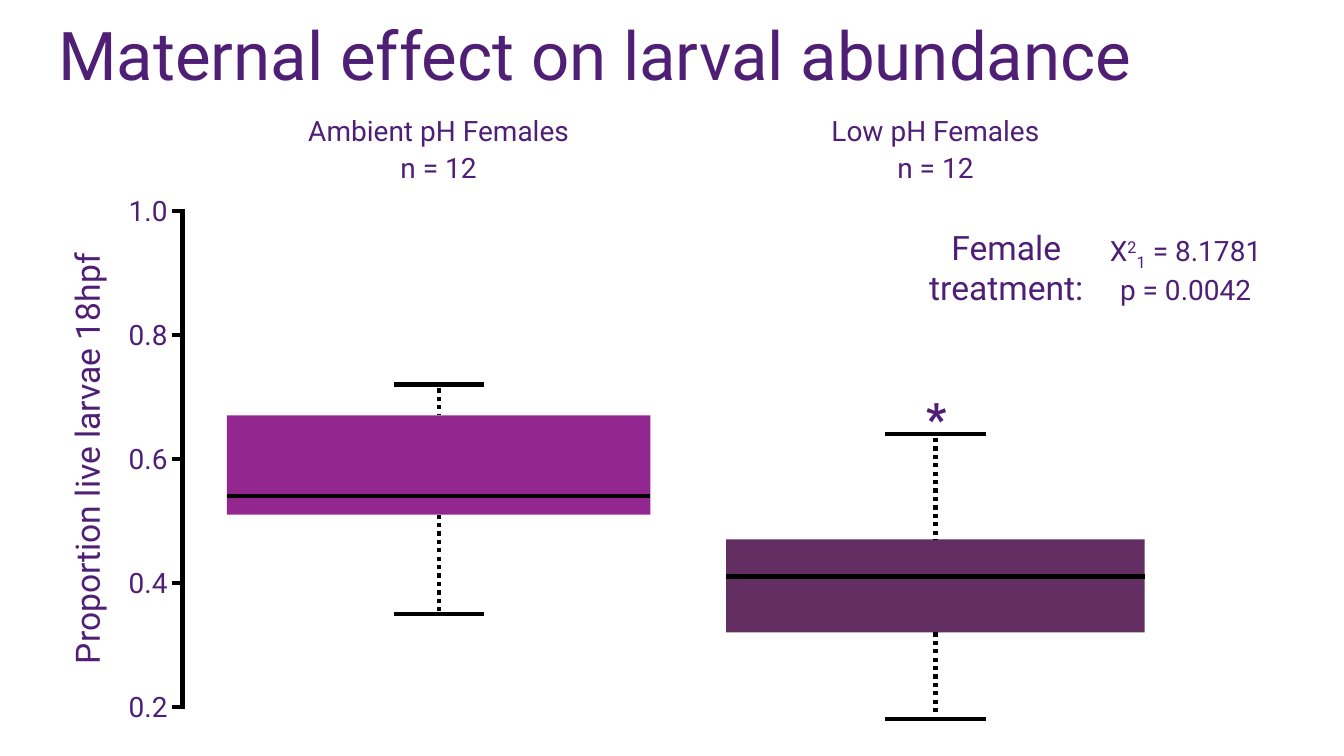
from lxml import etree
from pptx import Presentation
from pptx.dml.color import RGBColor
from pptx.enum.dml import MSO_LINE_DASH_STYLE as Dash
from pptx.enum.shapes import MSO_CONNECTOR as Connector, MSO_SHAPE as Shape
from pptx.enum.text import MSO_ANCHOR as Anchor, PP_ALIGN as Align
from pptx.oxml.ns import qn
from pptx.util import Cm, Pt

PURPLE = RGBColor(0x4F, 0x1F, 0x76)
AMBIENT = RGBColor(0x92, 0x27, 0x8F)
LOW_PH = RGBColor(0x63, 0x2E, 0x62)
BLACK = RGBColor(0, 0, 0)
FONT = "Roboto"
AXIS_X = 4.6
AXIS_BOTTOM = 17.81
CM_PER_UNIT = 15.62
LOWEST_TICK = 0.2


def height_of(proportion):
    """Return the vertical position in cm of a proportion on the axis."""
    return AXIS_BOTTOM - (proportion - LOWEST_TICK) * CM_PER_UNIT


def add_rule(shapes, x1, y1, x2, y2, dash=None):
    """Draw a black line, dotted where a dash style is given."""
    rule = shapes.add_connector(Connector.STRAIGHT, Cm(x1), Cm(y1), Cm(x2), Cm(y2))
    rule.line.color.rgb = BLACK
    rule.line.width = Pt(3)
    if dash:
        rule.line.dash_style = dash
    etree.SubElement(rule._element.spPr, qn("a:effectLst"))


def add_label(shapes, lines, left, top, width, height, size=20, align=Align.CENTER,
              wrap=True):
    """Write lines, each a list of (text, baseline) runs, and return the box."""
    label = shapes.add_textbox(Cm(left), Cm(top), Cm(width), Cm(height))
    frame = label.text_frame
    frame.word_wrap = wrap
    for index, pieces in enumerate(lines):
        paragraph = frame.paragraphs[0] if index == 0 else frame.add_paragraph()
        paragraph.alignment = align
        for text, baseline in pieces:
            run = paragraph.add_run()
            run.text = text
            if baseline:
                run._r.get_or_add_rPr().set("baseline", str(baseline * 1000))
        paragraph.font.size = Pt(size)
        paragraph.font.name = FONT
        paragraph.font.color.rgb = PURPLE
    return label


def add_axis(slide):
    """Draw the proportion axis with its ticks, numbers and title."""
    axis = slide.shapes.add_group_shape().shapes
    for step in range(5):
        tick = LOWEST_TICK + 0.2 * step
        y = height_of(tick)
        add_rule(axis, 4.34, y, 4.65, y)
        add_label(axis, [[(f"{tick:.1f}", 0)]], 2.96, y - 0.56, 1.55, 1.11)
    add_rule(slide.shapes, AXIS_X, height_of(1), AXIS_X, AXIS_BOTTOM)
    axis_title = add_label(slide.shapes, [[("Proportion live larvae 18hpf", 0)]],
                           -6.05, 10.92, 16.46, 1.27, size=24)
    axis_title.rotation = 270


def add_box_plot(slide, name, color, left, width, cap, summary):
    """Draw one treatment as a box with whiskers under its heading."""
    low, lower_quartile, median, upper_quartile, high = map(height_of, summary)
    center = left + width / 2
    plot = slide.shapes.add_group_shape().shapes
    box = plot.add_shape(Shape.RECTANGLE, Cm(left), Cm(upper_quartile), Cm(width),
                         Cm(lower_quartile - upper_quartile))
    box.shadow.inherit = False
    box.fill.solid()
    box.fill.fore_color.rgb = color
    box.line.fill.background()
    add_rule(plot, left, median, left + width, median)
    for y in (high, low):
        add_rule(plot, center - cap / 2, y, center + cap / 2, y)
    add_rule(plot, center, high + 0.1, center, upper_quartile, Dash.ROUND_DOT)
    add_rule(plot, center, lower_quartile, center, low, Dash.ROUND_DOT)
    for text, top in ((name, 2.74), ("n = 12", 3.68)):
        add_label(slide.shapes, [[(text, 0)]], center - 5.6, top, 11.2, 1.11)


def add_test_result(slide):
    """Write the test statistic and mark the significant treatment."""
    result = slide.shapes.add_group_shape().shapes
    statistic = [("X", 0), ("2", 30), ("1", -25), (" = 8.1781", 0)]
    add_label(result, [statistic, [("p = 0.0042", 0)]], 27.2, 5.77, 5.36, 1.96)
    add_label(result, [[("Female treatment:", 0)]], 22.86, 5.59, 5, 2.31, size=24)
    star = add_label(slide.shapes, [[("*", 0)]], 23.09, 9.73, 0.97, 1.63, size=32,
                     align=Align.LEFT, wrap=False)
    star.text_frame.paragraphs[0].font.bold = True


def main():
    """Build the slide and save it."""
    deck = Presentation()
    deck.slide_width, deck.slide_height = Cm(33.87), Cm(19.05)
    slide = deck.slides.add_slide(deck.slide_layouts[6])
    title = add_label(slide.shapes, [[("Maternal effect on larval abundance", 0)]],
                      1.22, 0.43, 32.56, 2.11, size=48, align=Align.LEFT)
    title.text_frame.vertical_anchor = Anchor.MIDDLE
    title.text_frame.paragraphs[0].line_spacing = 0.9
    add_box_plot(slide, "Low pH Females", LOW_PH, 18.3, 10.55, 2.54,
                 (0.18, 0.32, 0.41, 0.47, 0.64))
    add_axis(slide)
    add_box_plot(slide, "Ambient pH Females", AMBIENT, 5.72, 10.67, 2.26,
                 (0.35, 0.51, 0.54, 0.67, 0.72))
    add_test_result(slide)
    deck.save("out.pptx")


if __name__ == "__main__":
    main()
